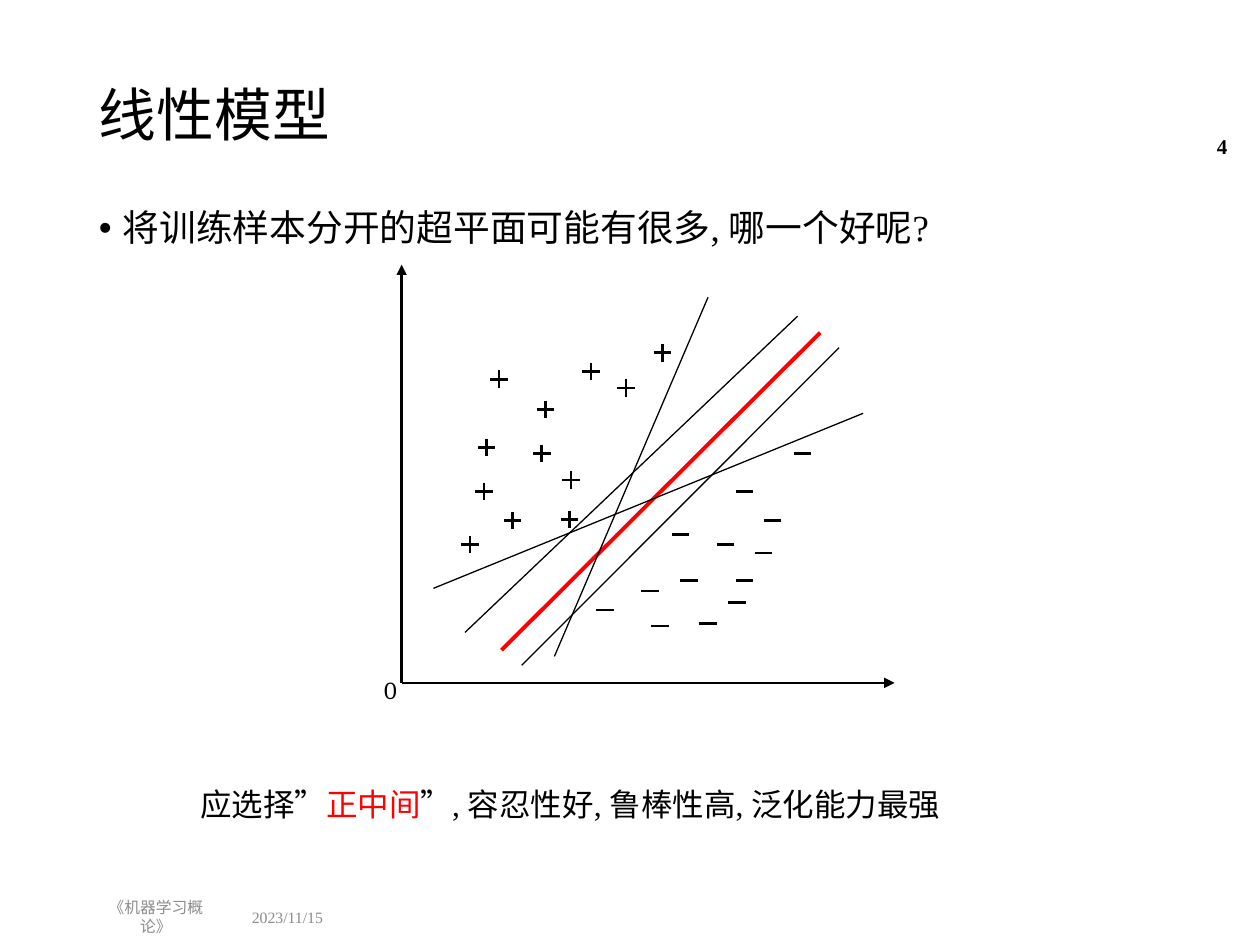
from lxml.etree import SubElement
from pptx import Presentation
from pptx.dml.color import RGBColor
from pptx.enum.shapes import MSO_CONNECTOR as Connector
from pptx.enum.text import MSO_ANCHOR as Anchor, MSO_AUTO_SIZE as AutoSize, PP_ALIGN as Align
from pptx.oxml.ns import qn
from pptx.util import Pt

COLORS = {"ink": "000000", "best": "FF0000", "footer": "8C8C8C"}
MARK_RADIUS = 5
ORIGIN = (229.5, 390.2)

POSITIVE_SAMPLES = [
    (337.7, 212.4), (326.2, 274.3), (309.6, 259.2), (276.5, 280.8),
    (293, 297.4), (325.4, 297), (285.1, 216.7), (378.7, 201.6),
    (357.8, 221.8), (268.6, 311), (311.8, 234), (277.9, 255.6),
]
NEGATIVE_SAMPLES = [
    (436.3, 316.1), (388.8, 305.3), (377.3, 357.8), (345.6, 348.5),
    (421.2, 344.2), (425.5, 331.9), (371.5, 337.7), (441.4, 297.4),
    (393.8, 331.9), (404.6, 356.4), (414.7, 311), (425.5, 280.8),
    (458.6, 259.2),
]
BEST_SEPARATOR = ((286.6, 371.5), (468.7, 190.1))
OTHER_SEPARATORS = [
    ((493.2, 236.2), (247.7, 336.2)),
    ((404.6, 169.9), (316.8, 375.1)),
    ((479.5, 198.7), (298.1, 380.2)),
    ((455.8, 180.7), (265.7, 361.4)),
]


class SlideBuilder:
    def __init__(self, slide, font="Times New Roman"):
        self.slide = slide
        self.font = font

    def text(self, content, left, top, width, height, *, size, color="ink", font=None,
             bold=False, align=Align.LEFT, anchor=Anchor.TOP, wrap=True, grow=False,
             line_spacing=None, bullet_indent=None):
        """Add a text box; content is a string or a list of (text, color) runs."""
        box = self.slide.shapes.add_textbox(Pt(left), Pt(top), Pt(width), Pt(height))
        frame = box.text_frame
        frame.word_wrap = wrap
        frame.auto_size = AutoSize.SHAPE_TO_FIT_TEXT if grow else AutoSize.NONE
        frame.vertical_anchor = anchor
        paragraph = frame.paragraphs[0]
        paragraph.alignment = align
        if line_spacing:
            paragraph.line_spacing = line_spacing
        if bullet_indent:
            self.bullet(paragraph, bullet_indent)
        runs = [(content, color)] if isinstance(content, str) else content
        for run_text, run_color in runs:
            run = paragraph.add_run()
            run.text = run_text
            run.font.name = font or self.font
            run.font.size = Pt(size)
            run.font.bold = bold
            run.font.color.rgb = RGBColor.from_string(COLORS[run_color])

    def bullet(self, paragraph, indent):
        properties = paragraph._p.get_or_add_pPr()
        properties.set("marL", str(Pt(indent)))
        properties.set("indent", str(-Pt(indent)))
        SubElement(properties, qn("a:buFont"), typeface="Arial")
        SubElement(properties, qn("a:buChar"), char="•")

    def line(self, start, end, *, width=1.5, color="ink", arrow=False, shapes=None):
        target = self.slide.shapes if shapes is None else shapes
        connector = target.add_connector(
            Connector.STRAIGHT, *(Pt(value) for value in (*start, *end)))
        connector.line.width = Pt(width)
        connector.line.color.rgb = RGBColor.from_string(COLORS[color])
        if arrow:
            SubElement(connector.line._get_or_add_ln(), qn("a:tailEnd"), type="triangle")
        SubElement(connector._element.spPr, qn("a:effectLst"))

    def minus(self, x, y, shapes=None):
        self.line((x - MARK_RADIUS, y), (x + MARK_RADIUS, y), shapes=shapes)

    def plus(self, x, y):
        shapes = self.slide.shapes.add_group_shape().shapes
        self.minus(x, y, shapes)
        self.line((x, y - MARK_RADIUS), (x, y + MARK_RADIUS), shapes=shapes)


def main():
    presentation = Presentation()
    presentation.slide_width, presentation.slide_height = Pt(720), Pt(540)
    builder = SlideBuilder(presentation.slides.add_slide(presentation.slide_layouts[6]))

    builder.text("线性模型", 49.5, 28.8, 621, 77, size=33, anchor=Anchor.MIDDLE,
                 line_spacing=0.9)
    builder.text("将训练样本分开的超平面可能有很多, 哪一个好呢?", 49.5, 116.6, 621, 388,
                 size=21, line_spacing=0.9, bullet_indent=13.5)
    builder.text("2023/11/15", 136.8, 513.4, 65.5, 20.9, size=9, color="footer",
                 anchor=Anchor.MIDDLE)
    builder.text("《机器学习概论》", 49.5, 513.4, 79.2, 20.9, size=9, color="footer",
                 align=Align.CENTER, anchor=Anchor.MIDDLE)
    builder.text("4", 658.8, 69.1, 49.7, 28.8, size=12, bold=True,
                 align=Align.RIGHT, anchor=Anchor.MIDDLE)

    for axis_end in ((ORIGIN[0], 151.2), (511.2, ORIGIN[1])):
        builder.line(ORIGIN, axis_end, arrow=True)
    builder.text("0", 212.4, 382.3, 25.9, 29.5, size=14, font="Cambria",
                 wrap=False, grow=True)

    for x, y in POSITIVE_SAMPLES:
        builder.plus(x, y)
    for x, y in NEGATIVE_SAMPLES:
        builder.minus(x, y)
    builder.line(*BEST_SEPARATOR, width=2.25, color="best")
    for start, end in OTHER_SEPARATORS:
        builder.line(start, end, width=0.75)

    conclusion = [("应选择”", "ink"), ("正中间", "best"),
                  ("”, 容忍性好, 鲁棒性高, 泛化能力最强", "ink")]
    builder.text(conclusion, 107.3, 445, 499.7, 28.8, size=18, grow=True)

    presentation.save("out.pptx")


if __name__ == "__main__":
    main()
